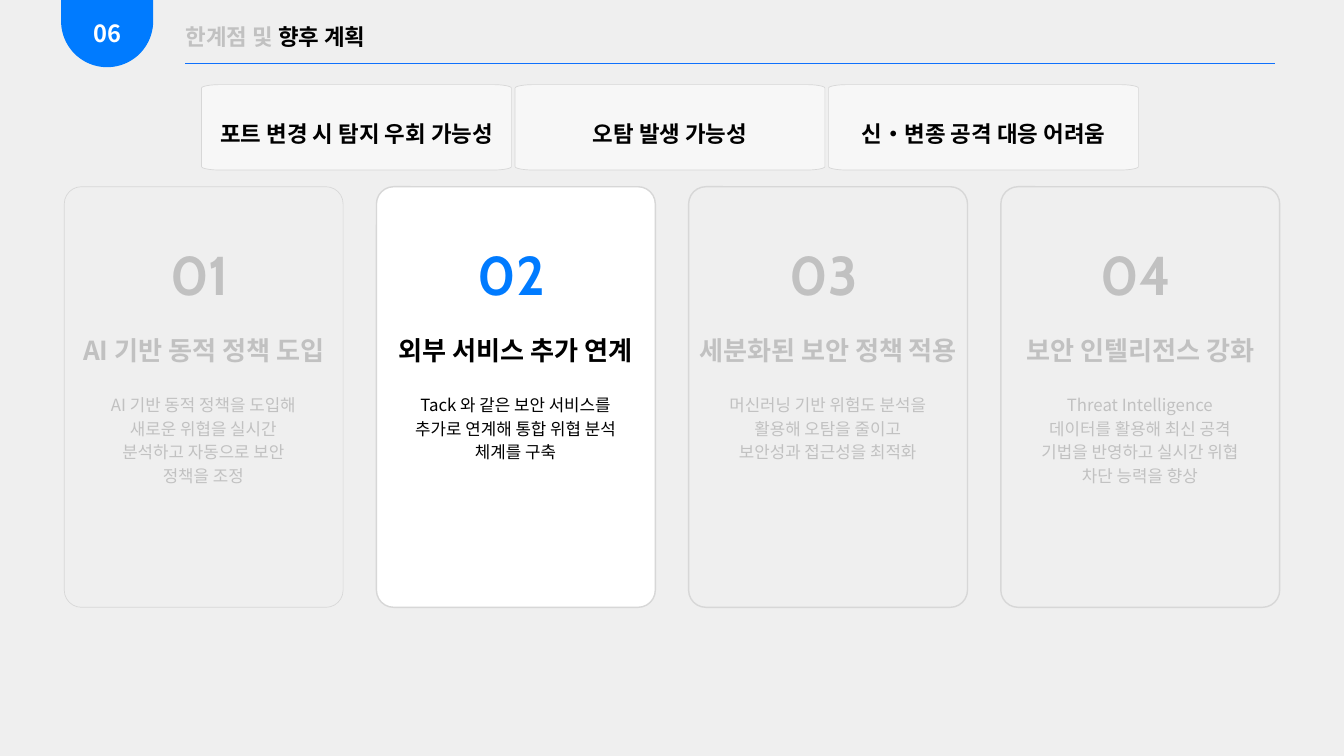
from math import cos, pi, sin

from lxml.etree import SubElement
from pptx import Presentation
from pptx.dml.color import RGBColor
from pptx.enum.shapes import MSO_CONNECTOR, MSO_SHAPE
from pptx.enum.text import MSO_ANCHOR as Anchor, MSO_AUTO_SIZE as AutoSize, PP_ALIGN as Align
from pptx.oxml.ns import qn
from pptx.util import Cm, Pt

# Content
SECTION = "06"
TITLE = [("한계점 및 ", "C1C1C1"), ("향후 계획", "000000")]
LIMITS = ["포트 변경 시 탐지 우회 가능성", "오탐 발생 가능성", "신·변종 공격 대응 어려움"]
PLANS = [
    ("AI 기반 동적 정책 도입",
     "AI 기반 동적 정책을 도입해 새로운 위협을 실시간 분석하고 자동으로 보안 정책을 조정"),
    ("외부 서비스 추가 연계",
     "Tack 와 같은 보안 서비스를 추가로 연계해 통합 위협 분석 체계를 구축"),
    ("세분화된 보안 정책 적용",
     "머신러닝 기반 위험도 분석을 활용해 오탐을 줄이고 보안성과 접근성을 최적화"),
    ("보안 인텔리전스 강화",
     "Threat Intelligence 데이터를 활용해 최신 공격 기법을 반영하고 실시간 위협 차단 능력을 향상"),
]
ACTIVE_PLAN = 2

# Style
SANS, DIGITS = "Noto Sans CJK SC", "Cabin"
BLACK, WHITE, MUTED, BORDER, BLUE = "000000", "FFFFFF", "C1C1C1", "D7D7D7", "007BFF"

# Layout in centimetres
CARD_LEFT, CARD_TOP, CARD_WIDTH, CARD_HEIGHT, CARD_STEP = 2.43, 7.06, 10.54, 15.9, 11.8
CARD_RADIUS = 0.65
LIMIT_LEFT, LIMIT_TOP, LIMIT_WIDTH, LIMIT_HEIGHT, LIMIT_STEP = 7.62, 3.2, 11.71, 3.23, 11.85
LIMIT_RADIUS_X, LIMIT_RADIUS_Y = 0.72, 0.13


def color(hex_code):
    return RGBColor.from_string(hex_code)


def style_shape(shape, fill=None, line=None, width=0.75):
    shape.shadow.inherit = False
    if fill:
        shape.fill.solid()
        shape.fill.fore_color.rgb = color(fill)
    else:
        shape.fill.background()
    if line:
        shape.line.color.rgb = color(line)
        shape.line.width = Pt(width)
    else:
        shape.line.fill.background()


def write(shape, spans, size, spacing, font=SANS, bold=True, align=Align.CENTER,
          anchor=Anchor.TOP, bottom=0):
    frame = shape.text_frame
    frame.word_wrap = True
    frame.auto_size = AutoSize.NONE
    frame.vertical_anchor = anchor
    frame.margin_left = frame.margin_right = frame.margin_top = 0
    frame.margin_bottom = Cm(bottom)
    para = frame.paragraphs[0]
    para.alignment = align
    para.line_spacing = Pt(spacing)
    para.space_before = Pt(0)
    for text, hex_code in spans:
        span = para.add_run()
        span.text = text
        span.font.size = Pt(size)
        span.font.bold = bold
        span.font.name = font
        span.font.color.rgb = color(hex_code)
        SubElement(span.font._element, qn("a:ea"), typeface=font)


def add_text(page, left, top, width, height, *args, **options):
    box = page.shapes.add_textbox(Cm(left), Cm(top), Cm(width), Cm(height))
    write(box, *args, **options)


def add_rounded(page, left, top, width, height, radius):
    shape = page.shapes.add_shape(MSO_SHAPE.ROUNDED_RECTANGLE,
                                  Cm(left), Cm(top), Cm(width), Cm(height))
    shape.adjustments[0] = radius / min(width, height)
    return shape


def add_oval_cornered(page, left, top, width, height, radius_x, radius_y, steps=8):
    """Rectangle whose corners are quarter ellipses."""
    right, bottom = left + width - radius_x, top + height - radius_y
    left, top = left + radius_x, top + radius_y
    centers = [(right, bottom), (left, bottom), (left, top), (right, top)]
    points = []
    for quarter, (x, y) in enumerate(centers):
        for step in range(steps + 1):
            angle = (quarter + step / steps) * pi / 2
            points.append((Cm(x + radius_x * cos(angle)), Cm(y + radius_y * sin(angle))))
    builder = page.shapes.build_freeform(*points[0])
    builder.add_line_segments(points[1:], close=True)
    return builder.convert_to_shape()


def add_header(page):
    tab = add_rounded(page, 2.31, -2.54, 3.48, 5.08, 1.74)
    style_shape(tab, BLUE)
    write(tab, [(SECTION, WHITE)], 25.3, 35.9, anchor=Anchor.BOTTOM, bottom=0.23)

    title = page.shapes.title
    title.left, title.top, title.width, title.height = Cm(7.01), Cm(0.69), Cm(24.74), Cm(1.22)
    write(title, TITLE, 24, 33.6, align=Align.LEFT)

    rule = page.shapes.add_connector(MSO_CONNECTOR.STRAIGHT,
                                     Cm(7.01), Cm(2.41), Cm(48.21), Cm(2.41))
    rule.line.color.rgb = color("0F71FC")
    rule.line.width = Pt(1.5)
    SubElement(rule._element.spPr, qn("a:effectLst"))


def add_limit(page, index, text):
    banner = add_oval_cornered(page, LIMIT_LEFT + index * LIMIT_STEP, LIMIT_TOP, LIMIT_WIDTH,
                               LIMIT_HEIGHT, LIMIT_RADIUS_X, LIMIT_RADIUS_Y)
    style_shape(banner, WHITE, BORDER)
    # Half-transparent fill
    SubElement(banner._element.spPr.find(".//" + qn("a:srgbClr")), qn("a:alpha"), val="50000")
    write(banner, [(text, BLACK)], 24, 42, anchor=Anchor.MIDDLE)


def add_plan(page, number, heading, body):
    active = number == ACTIVE_PLAN
    ink = BLACK if active else MUTED
    left = CARD_LEFT + (number - 1) * CARD_STEP
    card = add_rounded(page, left, CARD_TOP, CARD_WIDTH, CARD_HEIGHT, CARD_RADIUS)
    style_shape(card, WHITE if active else None, BORDER, 0.75 if number == 1 else 1.5)
    add_text(page, left + 3.28, 8.69, 3.66, 2.92,
             [(f"{number:02}", BLUE if active else MUTED)], 58.5, 81.9, font=DIGITS)
    add_text(page, left, 12.34, CARD_WIDTH, 1.37, [(heading, ink)], 28, 42)
    add_text(page, left + 1.43, 14.81, 7.65, 3.56, [(body, ink)], 18, 25.2, bold=False)


def main():
    deck = Presentation()
    deck.slide_width, deck.slide_height = Cm(50.8), Cm(28.58)
    page = deck.slides.add_slide(deck.slide_layouts[5])
    page.background.fill.solid()
    page.background.fill.fore_color.rgb = color("EFEFEF")

    add_header(page)
    for index, text in enumerate(LIMITS):
        add_limit(page, index, text)
    for number, (heading, body) in enumerate(PLANS, start=1):
        add_plan(page, number, heading, body)
    deck.save("out.pptx")


if __name__ == "__main__":
    main()
